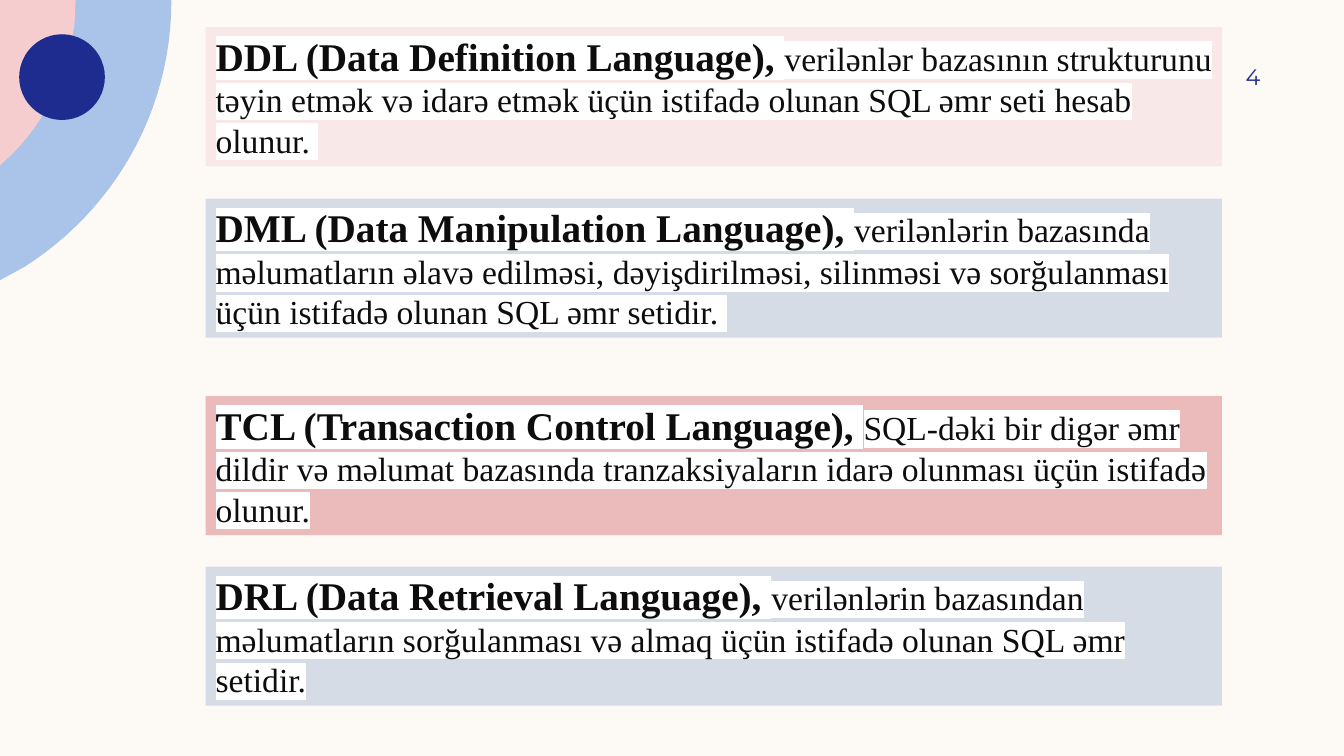
from dataclasses import dataclass

from lxml import etree
from pptx import Presentation
from pptx import util as u
from pptx.dml.color import RGBColor
from pptx.enum import shapes, text
from pptx.oxml import ns
from pptx.slide import Slide

Point = tuple[float, float]


@dataclass(frozen=True)
class Theme:
    cream: str = "FDFAF6"
    sky: str = "AAC3E8"
    rose: str = "F5CDCE"
    navy: str = "1F2C8F"
    blush: str = "F8E8E8"
    mist: str = "D6DCE5"
    coral: str = "EBBABA"
    ink: str = "0D0D0D"
    marker: str = "FFFFFF"
    serif: str = "Times New Roman"
    sans: str = "Montserrat"
    term_size: int = 28
    body_size: int = 24
    number_size: int = 16


@dataclass(frozen=True)
class Definition:
    top: float
    fill: str
    term: str
    meaning: str


@dataclass(frozen=True)
class Arc:
    fill: str
    start: Point
    curve: tuple[Point, Point, Point, Point]
    end: Point


THEME = Theme()
LEFT, WIDTH, HEIGHT = 2.04, 10.08, 1.38
CURVE_STEPS = 24

ARCS = (
    Arc(THEME.sky, (1.7, 0), ((1.7, 0.01), (1.7, 1.12), (1.12, 2.09), (0.24, 2.65)), (0, 2.78)),
    Arc(THEME.rose, (0.75, 0), ((0.74, 0.22), (0.68, 0.73), (0.46, 1.19), (0.11, 1.54)), (0, 1.64)),
)

DEFINITIONS = (
    Definition(
        0.27, THEME.blush, "DDL (Data Definition Language), ",
        "verilənlər bazasının strukturunu təyin etmək və idarə etmək üçün "
        "istifadə olunan SQL əmr seti hesab olunur. ",
    ),
    Definition(
        1.97, THEME.mist, "DML (Data Manipulation Language), ",
        "verilənlərin bazasında məlumatların əlavə edilməsi, dəyişdirilməsi, "
        "silinməsi və sorğulanması üçün istifadə olunan SQL əmr setidir. ",
    ),
    Definition(
        3.93, THEME.coral, "TCL (Transaction Control Language), ",
        "SQL-dəki bir digər əmr dildir və məlumat bazasında tranzaksiyaların "
        "idarə olunması üçün istifadə olunur.",
    ),
    Definition(
        5.62, THEME.mist, "DRL (Data Retrieval Language), ",
        "verilənlərin bazasından məlumatların sorğulanması və almaq üçün "
        "istifadə olunan SQL əmr setidir.",
    ),
)


def apply(target, values: dict) -> None:
    for name, value in values.items():
        setattr(target, name, value)


def paint(shape, color: str) -> None:
    shape.shadow.inherit = False
    shape.fill.solid()
    shape.fill.fore_color.rgb = RGBColor.from_string(color)
    shape.line.fill.background()


def add_span(para, words: str, color: str, font: dict):
    span = para.add_run()
    span.text = words
    apply(span.font, font)
    span.font.color.rgb = RGBColor.from_string(color)
    return span


def highlight(span, color: str) -> None:
    mark = etree.Element(ns.qn("a:highlight"))
    etree.SubElement(mark, ns.qn("a:srgbClr"), val=color)
    span.font.fill._xPr.find(ns.qn("a:solidFill")).addnext(mark)


def curve_points(curve: tuple[Point, Point, Point, Point]) -> list[Point]:
    points = []
    for step in range(CURVE_STEPS + 1):
        t = step / CURVE_STEPS
        weights = ((1 - t) ** 3, 3 * t * (1 - t) ** 2, 3 * t**2 * (1 - t), t**3)
        points.append(tuple(sum(w * p[axis] for w, p in zip(weights, curve)) for axis in (0, 1)))
    return points


def draw_arc(page: Slide, arc: Arc) -> None:
    outline = [arc.start, *curve_points(arc.curve), arc.end]
    builder = page.shapes.build_freeform(0, 0)
    builder.add_line_segments([(u.Inches(x), u.Inches(y)) for x, y in outline], close=True)
    paint(builder.convert_to_shape(), arc.fill)


def draw_dot(page: Slide) -> None:
    dot = page.shapes.add_shape(
        shapes.MSO_SHAPE.OVAL, u.Inches(0.19), u.Inches(0.34), u.Inches(0.85), u.Inches(0.85)
    )
    paint(dot, THEME.navy)


def draw_page_number(page: Slide, number: str) -> None:
    box = page.shapes.add_textbox(u.Inches(11.33), u.Inches(0.5), u.Inches(1.17), u.Inches(0.52))
    apply(box.text_frame, {
        "word_wrap": True,
        "vertical_anchor": text.MSO_ANCHOR.MIDDLE,
        "margin_right": 0,
    })
    para = box.text_frame.paragraphs[0]
    para.alignment = text.PP_ALIGN.RIGHT
    add_span(para, number, THEME.navy, {"name": THEME.sans, "size": u.Pt(THEME.number_size)})


def draw_definition(page: Slide, item: Definition) -> None:
    box = page.shapes.add_shape(
        shapes.MSO_SHAPE.RECTANGLE,
        u.Inches(LEFT), u.Inches(item.top), u.Inches(WIDTH), u.Inches(HEIGHT),
    )
    paint(box, item.fill)
    apply(box.text_frame, {
        "word_wrap": True,
        "vertical_anchor": text.MSO_ANCHOR.TOP,
        "auto_size": text.MSO_AUTO_SIZE.SHAPE_TO_FIT_TEXT,
    })
    para = box.text_frame.paragraphs[0]
    para.alignment = text.PP_ALIGN.LEFT
    for words, size, bold in (
        (item.term, THEME.term_size, True),
        (item.meaning, THEME.body_size, False),
    ):
        font = {"name": THEME.serif, "size": u.Pt(size), "bold": bold}
        highlight(add_span(para, words, THEME.ink, font), THEME.marker)


def main() -> None:
    deck = Presentation()
    apply(deck, {"slide_width": u.Inches(13.33), "slide_height": u.Inches(7.5)})
    page = deck.slides.add_slide(deck.slide_layouts[6])
    page.background.fill.solid()
    page.background.fill.fore_color.rgb = RGBColor.from_string(THEME.cream)
    for arc in ARCS:
        draw_arc(page, arc)
    draw_dot(page)
    draw_page_number(page, "4")
    for item in DEFINITIONS:
        draw_definition(page, item)
    deck.save("out.pptx")


if __name__ == "__main__":
    main()
